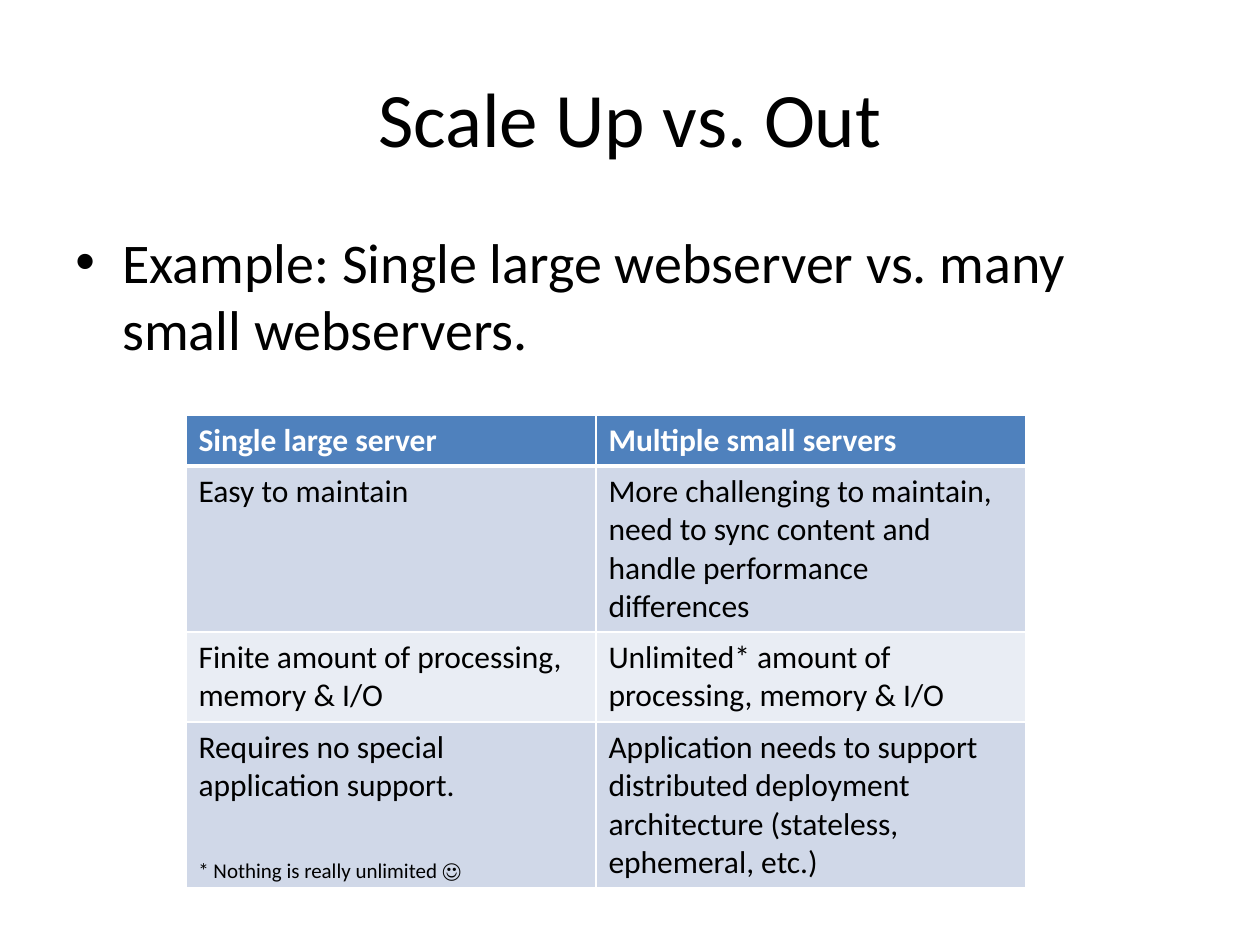
from pptx import Presentation
from pptx.dml.color import RGBColor
from pptx.enum.text import MSO_ANCHOR, MSO_AUTO_SIZE, PP_ALIGN
from pptx.oxml import parse_xml
from pptx.oxml.ns import nsdecls
from pptx.util import Emu, Pt

SCALE = 914400 // 126
FONT = "Calibri"
BLACK, WHITE = "000000", "FFFFFF"
HEADER, BAND_DARK, BAND_LIGHT = "4F81BD", "D0D8E8", "E9EDF4"

ROWS = [
    ("Single large server", "Multiple small servers"),
    ("Easy to maintain",
     "More challenging to maintain, need to sync content and handle performance differences"),
    ("Finite amount of processing, memory & I/O",
     "Unlimited* amount of processing, memory & I/O"),
    ("Requires no special application support.",
     "Application needs to support distributed deployment architecture "
     "(stateless, ephemeral, etc.)"),
]
COL_WIDTHS = (410, 430)
ROW_HEIGHTS = (51, 166, 90, 166)


def px(n):
    return Emu(n * SCALE)


def rgb(color):
    return RGBColor.from_string(color)


def write(tf, text, size=18, color=BLACK, bold=False, align=PP_ALIGN.LEFT, bullet=None):
    p = tf.paragraphs[0]
    p.alignment = align
    if bullet:
        pPr = p._p.get_or_add_pPr()
        pPr.set("marL", str(px(47)))
        pPr.set("indent", str(-px(47)))
        pPr.append(parse_xml(f'<a:buFont {nsdecls("a")} typeface="Arial"/>'))
        pPr.append(parse_xml(f'<a:buChar {nsdecls("a")} char="{bullet}"/>'))
    r = p.add_run()
    r.text = text
    r.font.name = FONT
    r.font.size = Pt(size)
    r.font.bold = bold
    r.font.color.rgb = rgb(color)


def add_text(slide, box, text, anchor=MSO_ANCHOR.TOP, wrap=True, grow=False, **fmt):
    tf = slide.shapes.add_textbox(*map(px, box)).text_frame
    tf.word_wrap = wrap
    tf.vertical_anchor = anchor
    if grow:
        tf.auto_size = MSO_AUTO_SIZE.SHAPE_TO_FIT_TEXT
    write(tf, text, **fmt)


def set_borders(cell, bottom):
    tcPr = cell._tc.get_or_add_tcPr()
    widths = {"lnL": 1, "lnR": 1, "lnT": 1, "lnB": bottom}
    for i, (tag, width) in enumerate(widths.items()):
        tcPr.insert(i, parse_xml(
            f'<a:{tag} {nsdecls("a")} w="{Pt(width)}"><a:solidFill>'
            f'<a:srgbClr val="{WHITE}"/></a:solidFill></a:{tag}>'))


def add_comparison(slide, left, top):
    box = (left, top, sum(COL_WIDTHS), sum(ROW_HEIGHTS))
    table = slide.shapes.add_table(len(ROWS), len(COL_WIDTHS), *map(px, box)).table
    for col, width in zip(table.columns, COL_WIDTHS):
        col.width = px(width)
    for i, texts in enumerate(ROWS):
        table.rows[i].height = px(ROW_HEIGHTS[i])
        head = i == 0
        fill = HEADER if head else BAND_DARK if i % 2 else BAND_LIGHT
        for j, text in enumerate(texts):
            cell = table.cell(i, j)
            cell.fill.solid()
            cell.fill.fore_color.rgb = rgb(fill)
            set_borders(cell, bottom=3 if head else 1)
            write(cell.text_frame, text, color=WHITE if head else BLACK, bold=head)
    add_text(slide, (left, top + 436, 291, 38), "* Nothing is really unlimited ☺",
             wrap=False, grow=True, size=12)


def add_heading(slide, left, top, width):
    add_text(slide, (left, top, width, 158), "Scale Up vs. Out",
             anchor=MSO_ANCHOR.MIDDLE, size=44, align=PP_ALIGN.CENTER)
    add_text(slide, (left, top + 183, width, 624),
             "Example: Single large webserver vs. many small webservers.",
             size=32, bullet="•")


def main():
    prs = Presentation()
    prs.slide_width, prs.slide_height = px(1260), px(945)
    s = prs.slides.add_slide(prs.slide_layouts[6])
    add_heading(s, 63, 38, 1134)
    add_comparison(s, 186, 415)
    prs.save("out.pptx")


if __name__ == "__main__":
    main()
